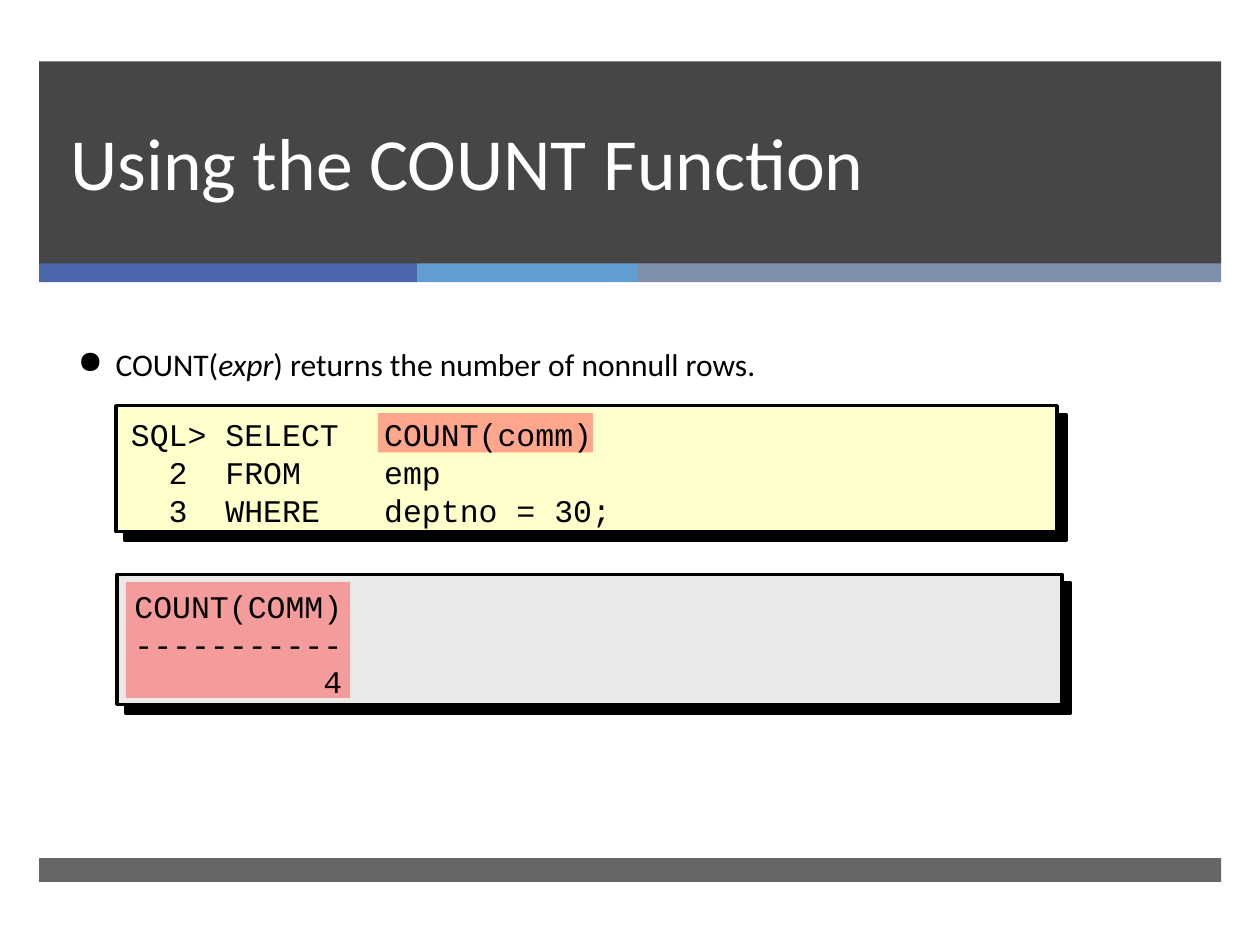
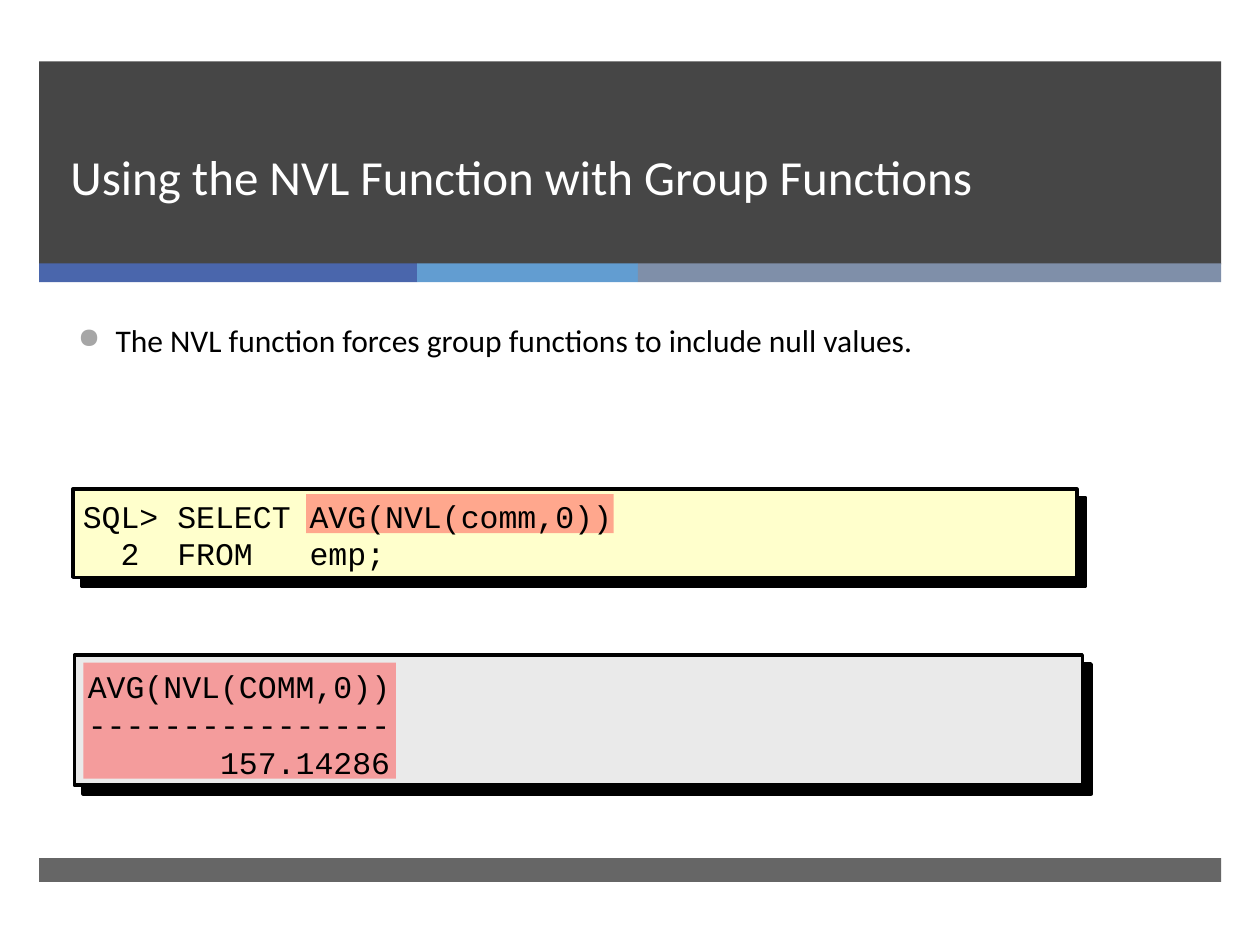
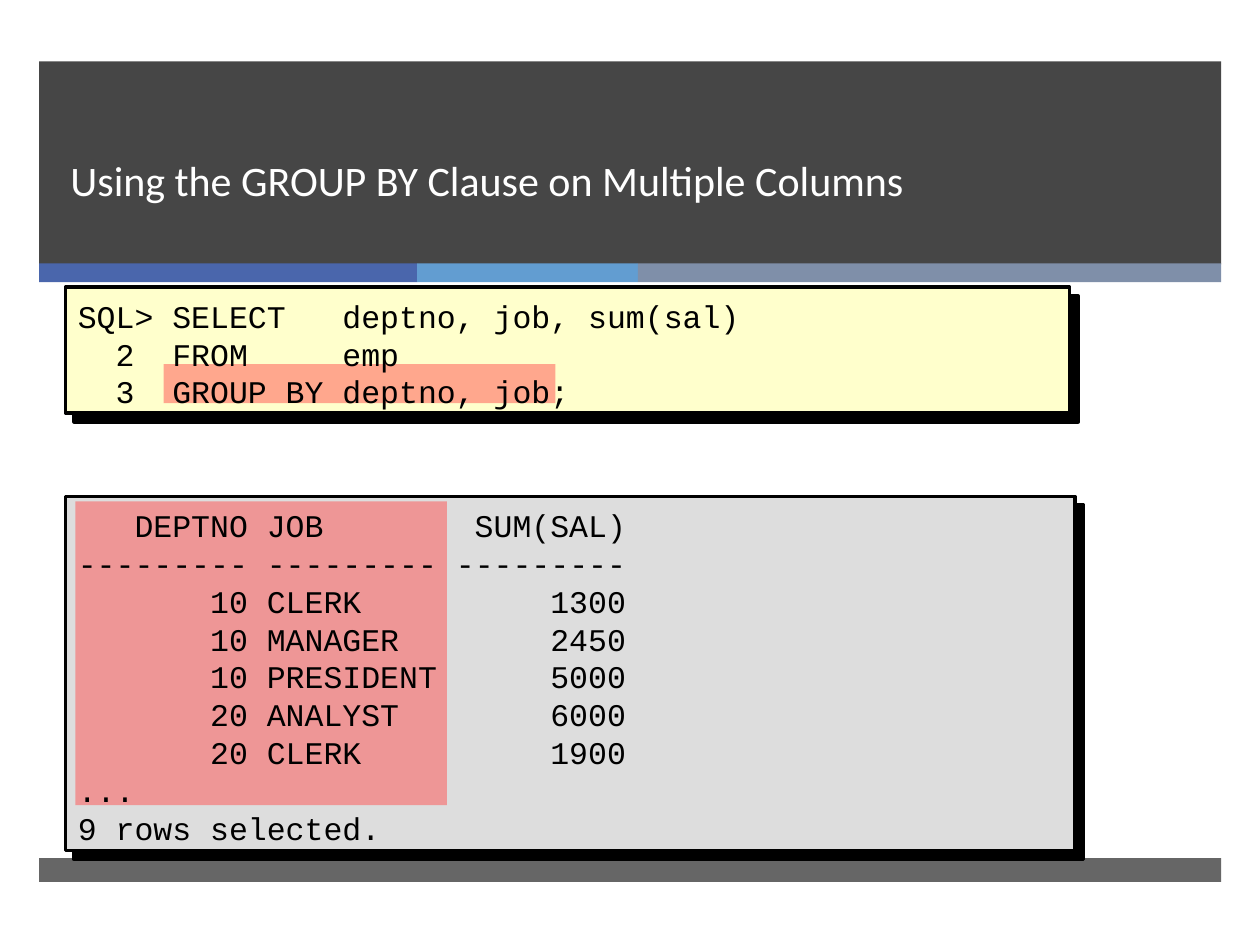
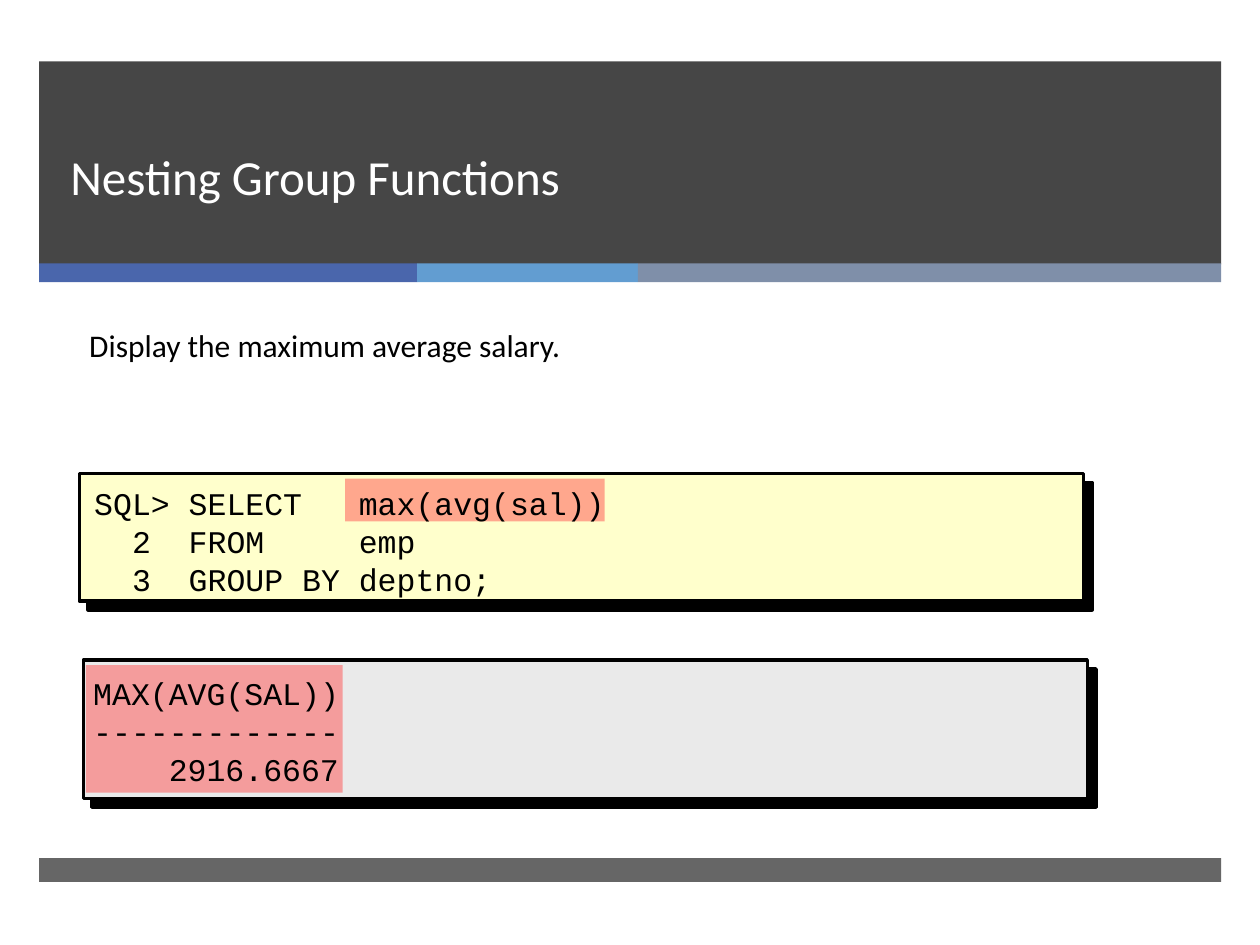
from lxml.etree import SubElement
from pptx import Presentation
from pptx.dml.color import RGBColor
from pptx.enum.shapes import MSO_SHAPE as SHAPE
from pptx.enum.text import MSO_ANCHOR as ANCHOR
from pptx.oxml.ns import qn
from pptx.util import Cm, Pt

CHAR = 0.381
BAND, FOOT = ("262626", 85), ("262626", 70)
STRIPS = [("4A66AC", 7.62), ("629DD1", 4.45), ("7F8FA9", 11.76)]
YELLOW, GREY, DARK_GREY = "FFFFCC", "EAEAEA", "DDDDDD"
BODY = {"name": "Calibri", "size": Pt(18)}
CODE = {"name": "Courier New", "size": Pt(18)}

SLIDES = [
    {
        "title": "Using the COUNT Function", "size": 42,
        "body": [("COUNT(", False), ("expr", True), (") returns the number of nonnull rows.", False)],
        "body_box": (1.32, 6.83, 20.75, 1.02), "bullet": ("000000", 100),
        "panels": [(YELLOW, (2.34, 8.18, 18.97, 2.54)), (GREY, (2.36, 11.58, 19.05, 2.62))],
        "marks": [(7.62, 8.33, 4.34, 0.79), (2.54, 11.73, 4.52, 2.34)],
        "listings": [
            ((2.39, 8.15, 19.05, 2.62), ANCHOR.MIDDLE, [(2, "l"), (5, "l"), (13.4, "l")],
             ["SQL>\tSELECT\tCOUNT(comm)", "\t2\tFROM\temp", "\t3\tWHERE\tdeptno = 30;"]),
            ((2.46, 11.61, 18.97, 2.54), ANCHOR.TOP, [(11, "r")],
             ["COUNT(COMM)", "-" * 11, "\t4"]),
        ],
    },
    {
        "title": "Using the NVL Function with Group Functions", "size": 28,
        "body": [("The NVL function forces group functions to include null values.", False)],
        "body_box": (1.32, 6.35, 20.52, 2.51), "bullet": ("A6A6A6", 90),
        "panels": [(YELLOW, (1.47, 9.86, 20.24, 1.78)), (GREY, (1.5, 13.21, 20.32, 2.62))],
        "marks": [(6.17, 9.96, 6.2, 0.79), (1.68, 13.36, 6.3, 2.34)],
        "listings": [
            ((1.42, 9.8, 20.32, 1.85), ANCHOR.MIDDLE, [(2, "l"), (5, "l"), (12, "l")],
             ["SQL>\tSELECT\tAVG(NVL(comm,0))", "\t2\tFROM\temp;"]),
            ((1.52, 13.23, 20.24, 2.54), ANCHOR.TOP, [(16, "r")],
             ["AVG(NVL(COMM,0))", "-" * 16, "\t157.14286"]),
        ],
    },
    {
        "title": "Using the GROUP BY Clause on Multiple Columns", "size": 24,
        "body": None,
        "panels": [(YELLOW, (1.32, 5.79, 20.24, 2.54)), (DARK_GREY, (1.32, 10.01, 20.35, 7.14))],
        "marks": [(3.3, 7.34, 7.9, 0.79), (1.52, 10.11, 7.49, 6.12)],
        "listings": [
            ((1.32, 5.77, 20.32, 2.62), ANCHOR.MIDDLE, [(2, "l"), (5, "l"), (14, "l")],
             ["SQL>\tSELECT\tdeptno, job, sum(sal)", "\t2\tFROM\temp", "\t3\tGROUP BY\tdeptno, job;"]),
            ((1.32, 9.98, 20.42, 7.21), ANCHOR.MIDDLE, [(9, "r"), (10, "l"), (29, "r")],
             ["\tDEPTNO\tJOB\tSUM(SAL)", " ".join(["-" * 9] * 3), "\t10\tCLERK\t1300",
              "\t10\tMANAGER\t2450", "\t10\tPRESIDENT\t5000", "\t20\tANALYST\t6000",
              "\t20\tCLERK\t1900", "...", "9 rows selected."]),
        ],
    },
    {
        "title": "Nesting Group Functions", "size": 28,
        "body": [("Display the maximum average salary.", False)],
        "body_box": (1.55, 6.45, 21.39, 1.4), "bullet": None,
        "panels": [(YELLOW, (1.6, 9.55, 20.24, 2.57)), (GREY, (1.68, 13.31, 20.24, 2.79))],
        "marks": [(6.96, 9.65, 5.23, 0.86), (1.73, 13.41, 5.18, 2.57)],
        "listings": [
            ((1.65, 9.17, 20.32, 3.38), ANCHOR.MIDDLE, [(2, "l"), (5, "l"), (14, "l")],
             ["SQL>\tSELECT\tmax(avg(sal))", "\t2\tFROM\temp", "\t3\tGROUP BY\tdeptno;"]),
            ((1.63, 13, 20.32, 3.38), ANCHOR.MIDDLE, [(13, "r")],
             ["MAX(AVG(SAL))", "-" * 13, "\t2916.6667"]),
        ],
    },
]


def paint(fmt, color, alpha=100):
    if hasattr(fmt, "solid"):
        fmt.solid()
        fmt = fmt.fore_color
    fmt.rgb = RGBColor.from_string(color)
    return fmt


def add_text(s, box, paragraphs, font, color="000000", **frame):
    tf = s.shapes.add_textbox(*map(Cm, box)).text_frame
    for key, value in {"word_wrap": True, **frame}.items():
        setattr(tf, key, value)
    for i, runs in enumerate(paragraphs):
        p = tf.add_paragraph() if i else tf.paragraphs[0]
        for text, italic in runs:
            r = p.add_run()
            r.text = text
            for key, value in {**font, "italic": italic}.items():
                setattr(r.font, key, value)
            paint(r.font.fill, color)
    return tf.paragraphs


prs = Presentation()
prs.slide_width, prs.slide_height = Cm(25.4), Cm(19.05)

for page in SLIDES:
    s = prs.slides.add_slide(prs.slide_layouts[6])

    rects = [(*BAND, (0.79, 1.24, 23.83, 4.09), False)]
    x = 0.79
    for color, width in STRIPS:
        rects.append((color, 100, (x, 5.31, width, 0.38), False))
        x += width
    rects.append((*FOOT, (0.79, 17.3, 23.83, 0.48), False))
    rects += [(color, 100, box, True) for color, box in page["panels"]]
    rects += [("FF5050", 50, box, False) for box in page["marks"]]

    for color, alpha, box, framed in rects:
        sp = s.shapes.add_shape(SHAPE.RECTANGLE, *map(Cm, box))
        sp.shadow.inherit = False
        paint(sp.fill, color)
        if alpha < 100:
            clr = sp.fill._xPr.find(qn("a:solidFill"))[0]
            SubElement(clr, qn("a:alpha"), val=str(alpha * 1000))
        if framed:
            paint(sp.line.fill, "000000")
            sp.line.width = Pt(2)
            effects = sp._element.spPr.find(qn("a:effectLst"))
            shadow = SubElement(effects, qn("a:outerShdw"), dist=str(Pt(7.1)), dir="2700000",
                                algn="ctr", rotWithShape="0")
            SubElement(shadow, qn("a:srgbClr"), val="000000")
        else:
            sp.line.fill.background()

    title = add_text(s, (1.17, 1.24, 21.69, 3.02), [[(page["title"], False)]],
                     {"name": "Calibri", "size": Pt(page["size"])}, "FFFFFF",
                     vertical_anchor=ANCHOR.BOTTOM)
    title[0].line_spacing = Pt(46)

    if page["body"]:
        p = add_text(s, page["body_box"], [page["body"]], BODY)[0]
        if page["bullet"]:
            color, percent = page["bullet"]
            pPr = p._p.get_or_add_pPr()
            pPr.set("marL", str(Cm(0.76)))
            pPr.set("indent", str(-Cm(0.76)))
            SubElement(SubElement(pPr, qn("a:buClr")), qn("a:srgbClr"), val=color)
            SubElement(pPr, qn("a:buSzPct"), val=str(percent * 1000))
            SubElement(pPr, qn("a:buChar"), char="●")

    for box, anchor, stops, lines in page["listings"]:
        paragraphs = add_text(s, box, [[(line, False)] for line in lines], CODE,
                              vertical_anchor=anchor, margin_top=Cm(0.22))
        for p in paragraphs:
            p.line_spacing = Pt(21.6)
            tabs = SubElement(p._p.get_or_add_pPr(), qn("a:tabLst"))
            for column, align in stops:
                SubElement(tabs, qn("a:tab"), pos=str(Cm(column * CHAR)), algn=align)

prs.save("out.pptx")
